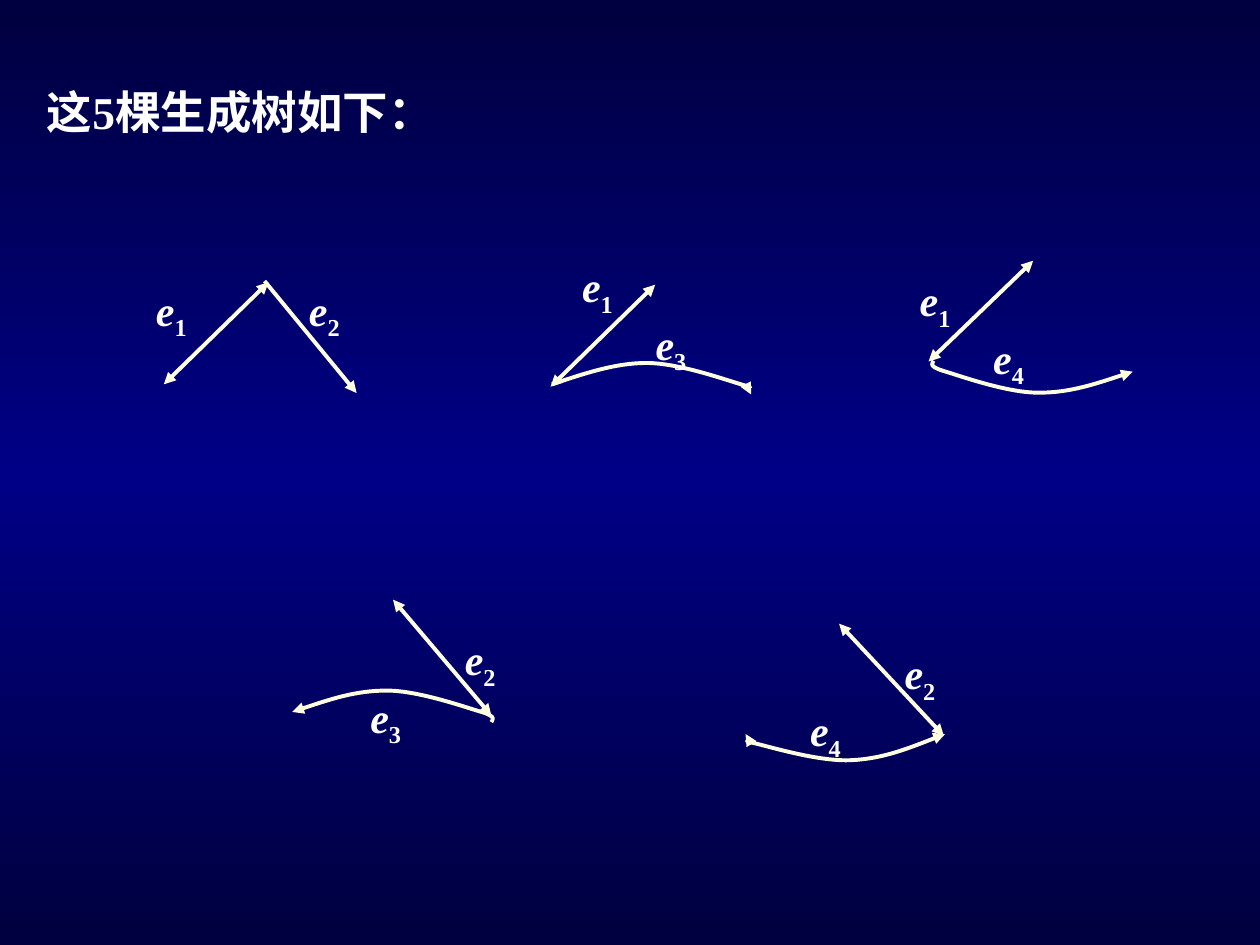
from copy import deepcopy
from math import cos, radians, sin

from lxml import etree
from pptx import Presentation
from pptx.dml.color import RGBColor
from pptx.enum import shapes, text
from pptx.oxml import ns
from pptx.util import Pt


class Theme:
    font = "Times New Roman"
    white = RGBColor.from_string("FFFFFF")
    cream = RGBColor.from_string("FFFFE1")
    black = RGBColor.from_string("000000")
    navy = RGBColor.from_string("00003E")
    blue = RGBColor.from_string("000086")
    head = Pt(26)
    label = Pt(24)
    edge = Pt(2.25)
    dot = Pt(0.75)


def stroke(shape, color, width, ends):
    shape.line.color.rgb = color
    shape.line.width = width
    props = shape._element.spPr
    line = props.find(ns.qn("a:ln"))
    for tag, kind in zip(("a:headEnd", "a:tailEnd"), ends):
        if kind:
            etree.SubElement(line, ns.qn(tag)).set("type", kind)
    if props.find(ns.qn("a:effectLst")) is None:
        etree.SubElement(props, ns.qn("a:effectLst"))


def write(para, words, size, italic=False, base=None):
    run = para.add_run()
    run.text = words
    font = run.font
    font.name, font.size, font.bold, font.italic = Theme.font, size, True, italic
    font.color.rgb = Theme.white
    if base:
        run._r.get_or_add_rPr().set("baseline", base)


deck = Presentation()
deck.slide_width, deck.slide_height = Pt(720), Pt(540)
slide = deck.slides.add_slide(deck.slide_layouts[5])

fill = slide.background.fill
fill.gradient()
fill.gradient_angle = 90
stops = next(slide._element.iter(ns.qn("a:gsLst")))
stops.insert(1, deepcopy(stops[0]))
for stop, place, color in zip(
    fill.gradient_stops, (0, 0.5, 1), (Theme.navy, Theme.blue, Theme.navy)
):
    stop.position = place
    stop.color.rgb = color

title = slide.shapes.title
title.left, title.top, title.width, title.height = Pt(19.5), Pt(44.5), Pt(322), Pt(39)
frame = title.text_frame
frame.word_wrap = True
frame.auto_size = text.MSO_AUTO_SIZE.SHAPE_TO_FIT_TEXT
frame.vertical_anchor = text.MSO_ANCHOR.TOP
frame.paragraphs[0].alignment = text.PP_ALIGN.LEFT
write(frame.paragraphs[0], "这5棵生成树如下：", Theme.head)

tip = "triangle"
both = (tip, tip)
first = (tip, None)
last = (None, tip)
arc = [
    (18, -6), (36, -12.2), (54, -12.2),
    (72, -12.2), (97.9, -3), (108, 0),
    (118, 2.9), (113.8, 5), (113.8, 5.8),
]

# edges: x1, y1, x2, y2, ends; curve: x, y, turn, ends; label: x, y, w, h, tab, lines
trees = [
    dict(
        edges=[(93.6, 219.6, 153.4, 161.3, both), (203.8, 224.6, 151.2, 160.6, first)],
        label=(82, 159, 144, 40, 87.5, ["1\t2"]),
    ),
    dict(
        edges=[(314.6, 221, 374.4, 162.7, both)],
        curve=(315.4, 219.6, 0, last),
        dot=(429.1, 223.9),
        label=(325.5, 145.5, 121, 73, 42, ["1", "\t3"]),
    ),
    dict(
        edges=[(590.4, 149, 530.6, 206.6, both)],
        curve=(647.3, 212.4, 180.2, first),
        label=(518.4, 153.4, 121, 73, 42, ["1", "\t4"]),
    ),
    dict(
        edges=[(280.8, 409, 224.6, 342.7, both)],
        curve=(167, 406.8, 0, first),
        label=(204.5, 358.6, 121, 73, 54, ["\t2", "3"]),
    ),
    dict(
        edges=[(479.5, 356.4, 539.3, 420.5, both)],
        curve=(540, 419.5, 177.1, both),
        label=(455.8, 366.5, 121, 73, 54, ["\t2", "4"]),
    ),
]

for tree in trees:
    group = slide.shapes.add_group_shape().shapes
    for *ends, tips in tree["edges"]:
        edge = group.add_connector(shapes.MSO_CONNECTOR.STRAIGHT, *map(Pt, ends))
        stroke(edge, Theme.cream, Theme.edge, tips)

    if "curve" in tree:
        left, top, turn, tips = tree["curve"]
        c, s = cos(radians(turn)), sin(radians(turn))
        pen = group.build_freeform(Pt(left), Pt(top))
        pen.add_line_segments(
            [(Pt(left + x * c - y * s), Pt(top + x * s + y * c)) for x, y in arc],
            close=False,
        )
        curve = pen.convert_to_shape()
        legs = list(curve._element.iter(ns.qn("a:lnTo")))
        for i in range(0, len(legs), 3):
            bend = etree.SubElement(legs[i].getparent(), ns.qn("a:cubicBezTo"))
            for leg in legs[i:i + 3]:
                bend.append(leg[0])
                leg.getparent().remove(leg)
        curve.fill.background()
        curve.shadow.inherit = False
        stroke(curve, Theme.cream, Theme.edge, tips)

    if "dot" in tree:
        spot = [Pt(v) for v in tree["dot"]]
        dot = group.add_connector(shapes.MSO_CONNECTOR.STRAIGHT, *spot, *spot)
        stroke(dot, Theme.black, Theme.dot, ("oval", "oval"))

    *area, tab, lines = tree["label"]
    frame = group.add_textbox(*map(Pt, area)).text_frame
    frame.word_wrap = True
    frame.auto_size = text.MSO_AUTO_SIZE.SHAPE_TO_FIT_TEXT
    for i, line in enumerate(lines):
        para = frame.add_paragraph() if i else frame.paragraphs[0]
        tabs = etree.SubElement(para._p.get_or_add_pPr(), ns.qn("a:tabLst"))
        mark = etree.SubElement(tabs, ns.qn("a:tab"))
        mark.set("pos", str(Pt(tab)))
        mark.set("algn", "l")
        for j, part in enumerate(line.split("\t")):
            if j:
                write(para, "\t", Theme.label)
            if part:
                write(para, "e", Theme.label, italic=True)
                write(para, part, Theme.label, base="-25000")

deck.save("out.pptx")
